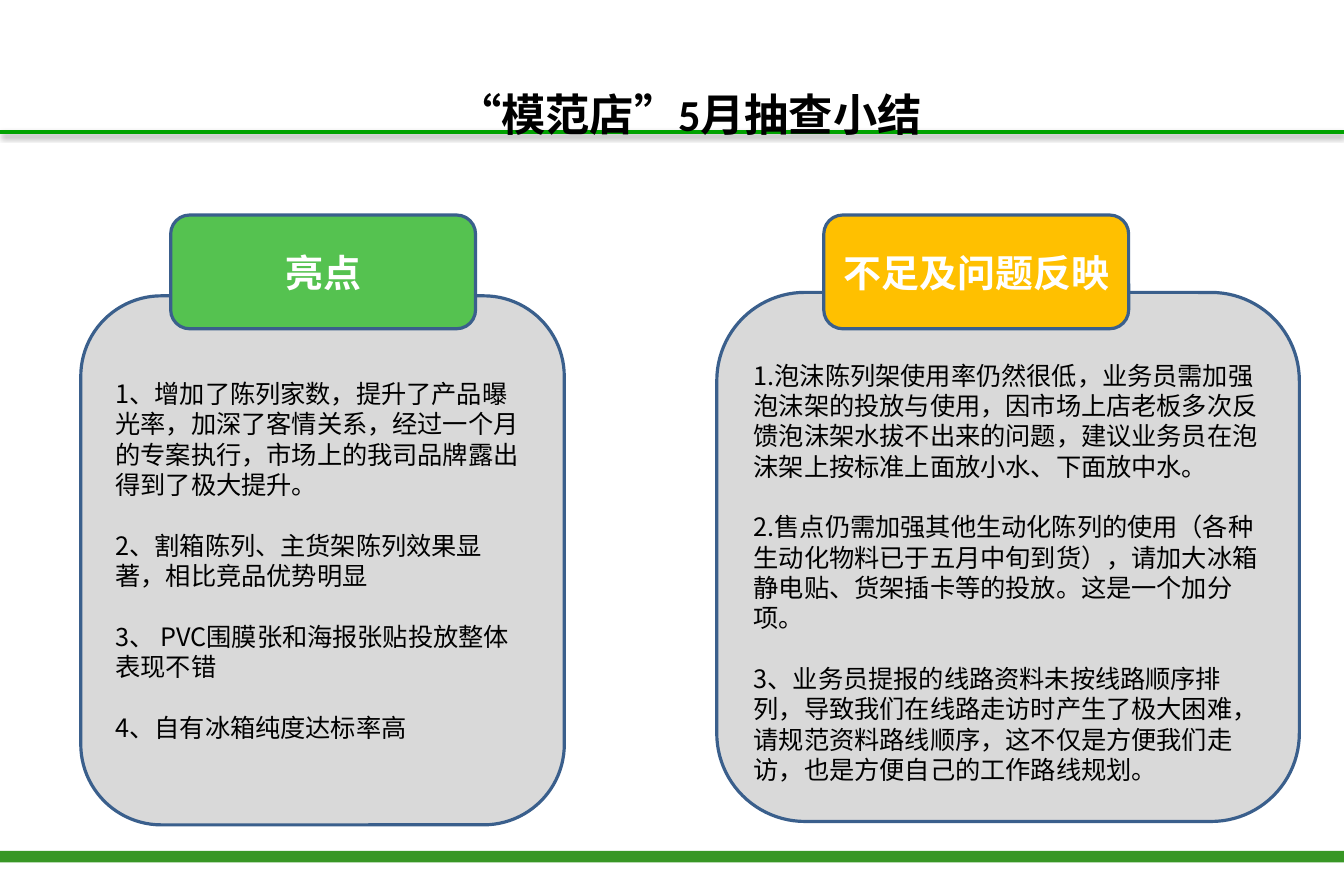
from lxml import etree
from pptx import Presentation
from pptx import util as u
from pptx.dml.color import RGBColor
from pptx.enum import shapes, text
from pptx.oxml import parse_xml
from pptx.oxml.ns import qn

COLORS = {
    "rule": "00A200", "footer": "389725", "panel": "D9D9D9", "outline": "3A5F8C",
    "good": "55C250", "issue": "FFC000", "ink": "000000", "white": "FFFFFF",
}
CJK = "Noto Sans CJK SC"
LINE_PITCH = 19.2  # points, also the gap between points in a panel

HIGHLIGHTS = [
    "1、增加了陈列家数，提升了产品曝光率，加深了客情关系，经过一个月的专案执行，市场上的我司品牌露出得到了极大提升。",
    "2、割箱陈列、主货架陈列效果显著，相比竞品优势明显",
    "3、 PVC围膜张和海报张贴投放整体表现不错",
    "4、自有冰箱纯度达标率高",
]
PROBLEMS = [
    "1.泡沫陈列架使用率仍然很低，业务员需加强泡沫架的投放与使用，因市场上店老板多次反馈泡沫架水拔不出来的问题，建议业务员在泡沫架上按标准上面放小水、下面放中水。",
    "2.售点仍需加强其他生动化陈列的使用（各种生动化物料已于五月中旬到货），请加大冰箱静电贴、货架插卡等的投放。这是一个加分项。",
    "3、业务员提报的线路资料未按线路顺序排列，导致我们在线路走访时产生了极大困难，请规范资料路线顺序，这不仅是方便我们走访，也是方便自己的工作路线规划。",
]
SHADOW = (
    '<a:effectLst xmlns:a="http://schemas.openxmlformats.org/drawingml/2006/main">'
    '<a:outerShdw blurRad="39370" dist="22860" dir="5400000" rotWithShape="0">'
    '<a:srgbClr val="000000"><a:alpha val="35000"/></a:srgbClr>'
    '</a:outerShdw></a:effectLst>'
)


def rgb(name):
    return RGBColor.from_string(COLORS[name])


def write(tf, lines, size, color="ink", font=CJK, bold=False, center=False, pitch=None, gap=0):
    """Fill a text frame with one paragraph per line of text."""
    tf.word_wrap = True
    for i, line in enumerate(lines):
        p = tf.paragraphs[0] if i == 0 else tf.add_paragraph()
        p.alignment = text.PP_ALIGN.CENTER if center else text.PP_ALIGN.LEFT
        p._p.get_or_add_pPr().set("hangingPunct", "0")
        if pitch:
            p.line_spacing = u.Pt(pitch)
        if i:
            p.space_before = u.Pt(gap)
        r = p.add_run()
        r.text = line
        r.font.size, r.font.bold, r.font.name = u.Pt(size), bold, font
        r.font.color.rgb = rgb(color)
        etree.SubElement(r.font._element, qn("a:ea")).set("typeface", CJK)


class SummarySlide:
    def __init__(self, prs):
        self.width = prs.slide_width
        self.shapes = prs.slides.add_slide(prs.slide_layouts[6]).shapes

    def block(self, kind, box, fill, outline=None):
        sp = self.shapes.add_shape(kind, *map(u.Inches, box))
        sp.shadow.inherit = False
        sp.fill.solid()
        sp.fill.fore_color.rgb = rgb(fill)
        if outline:
            sp.line.color.rgb = rgb(outline)
            sp.line.width = u.Pt(2)
        else:
            sp.line.fill.background()
        sp.text_frame.vertical_anchor = text.MSO_ANCHOR.MIDDLE
        return sp

    def rounded(self, box, fill):
        return self.block(shapes.MSO_SHAPE.ROUNDED_RECTANGLE, box, fill, "outline")

    def footer(self):
        sp = self.block(shapes.MSO_SHAPE.RECTANGLE, (0, 7.48, 11.81, 0.1), "footer")
        sp.width = self.width

    def rule(self, y):
        line = self.shapes.add_connector(
            shapes.MSO_CONNECTOR.STRAIGHT, 0, u.Inches(y), self.width, u.Inches(y))
        line.line.color.rgb = rgb("rule")
        line.line.width = u.Pt(3)
        line._element.spPr.append(parse_xml(SHADOW))

    def panel(self, box, points, top_inset=0.05):
        tf = self.rounded(box, "panel").text_frame
        tf.margin_top = u.Inches(top_inset)
        write(tf, points, 16, pitch=LINE_PITCH, gap=LINE_PITCH)

    def tab(self, left, label, fill, font):
        sp = self.rounded((left, 1.89, 2.68, 1), fill)
        write(sp.text_frame, [label], 24, "white", font, bold=True, center=True)

    def title(self, label):
        box = self.shapes.add_textbox(*map(u.Inches, (2.91, 0.72, 6.3, 0.57)))
        write(box.text_frame, [label], 28, font="Calibri", bold=True, center=True)
        box.text_frame.auto_size = text.MSO_AUTO_SIZE.SHAPE_TO_FIT_TEXT


def main():
    prs = Presentation()
    prs.slide_width, prs.slide_height = u.Pt(850.5), u.Pt(567)
    s = SummarySlide(prs)
    s.footer()
    s.rule(1.16)
    s.panel((0.71, 2.6, 4.25, 4.65), HIGHLIGHTS)
    s.tab(1.5, "亮点", "good", CJK)
    s.panel((6.3, 2.57, 5.12, 4.65), PROBLEMS, top_inset=0.32)
    s.tab(7.24, "不足及问题反映", "issue", "Calibri")
    s.title("“模范店”5月抽查小结")
    prs.save("out.pptx")


if __name__ == "__main__":
    main()
